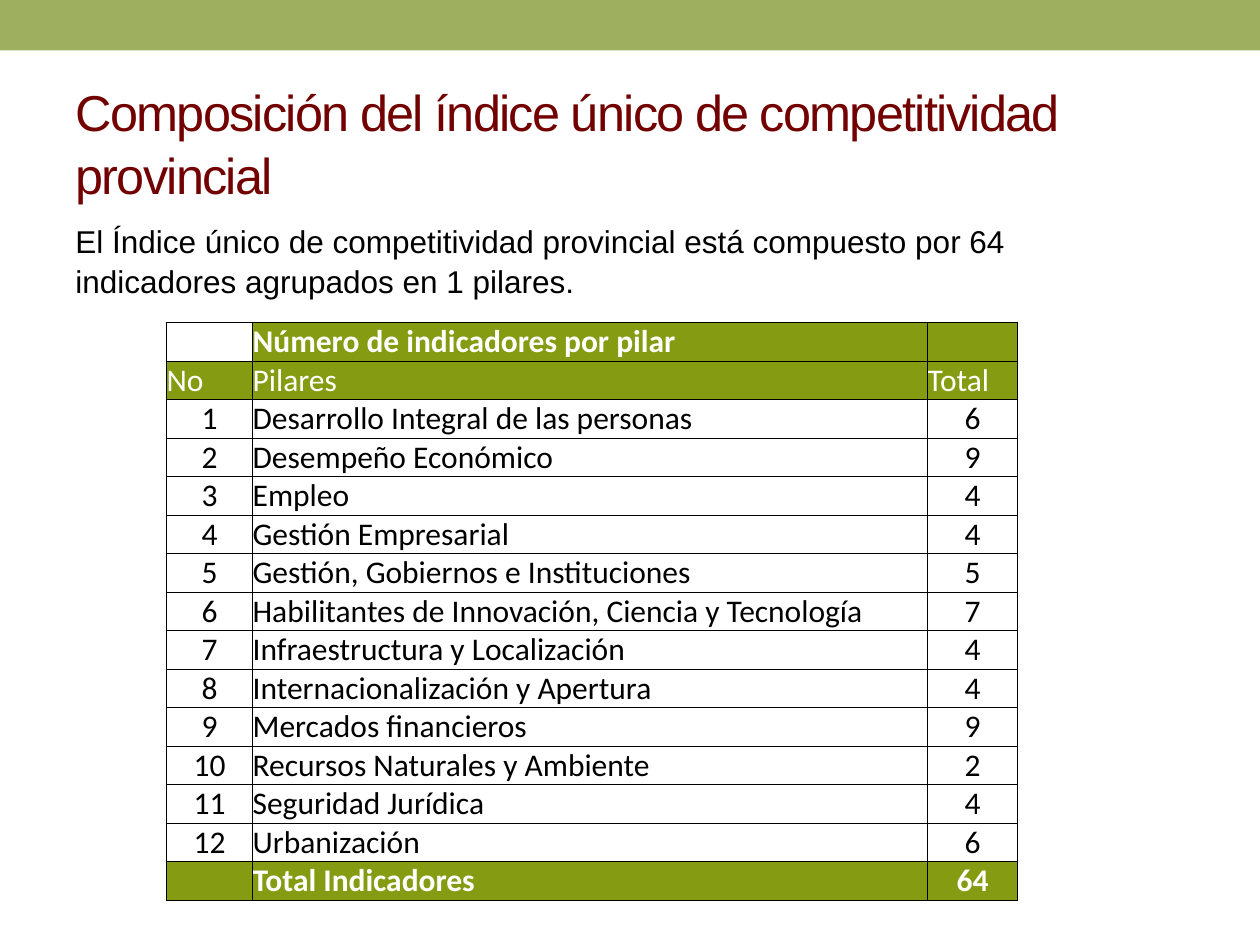
"""Build the slide on the composition of the provincial competitiveness index."""
import pptx
import pptx.dml.color
import pptx.enum.shapes
import pptx.enum.text
import pptx.oxml
import pptx.oxml.ns
import pptx.util

Pt = pptx.util.Pt
RGBColor = pptx.dml.color.RGBColor
BAND_GREEN = RGBColor(0x9E, 0xB0, 0x60)
TABLE_GREEN = RGBColor(0x85, 0x9C, 0x12)
DARK_RED = RGBColor(0x73, 0x00, 0x00)
BLACK = RGBColor(0x00, 0x00, 0x00)
WHITE = RGBColor(0xFF, 0xFF, 0xFF)

PILLARS = [
    ("Desarrollo Integral de las personas", 6),
    ("Desempeño Económico", 9),
    ("Empleo", 4),
    ("Gestión Empresarial", 4),
    ("Gestión, Gobiernos e Instituciones", 5),
    ("Habilitantes de Innovación, Ciencia y Tecnología", 7),
    ("Infraestructura y Localización", 4),
    ("Internacionalización y Apertura", 4),
    ("Mercados financieros", 9),
    ("Recursos Naturales y Ambiente", 2),
    ("Seguridad Jurídica", 4),
    ("Urbanización", 6),
]
COLUMN_WIDTHS = [49.2, 385.7, 51.4]
ROW_HEIGHT = 21.6


def style_paragraph(paragraph, font_name, size, color, bold=False):
    paragraph.font.name = font_name
    paragraph.font.size = Pt(size)
    paragraph.font.color.rgb = color
    paragraph.font.bold = bold


def add_borders(cell):
    properties = cell._tc.get_or_add_tcPr()
    for position, side in enumerate(("lnL", "lnR", "lnT", "lnB")):
        border = pptx.oxml.parse_xml(
            f'<a:{side} {pptx.oxml.ns.nsdecls("a")} w="{Pt(0.5)}">'
            f'<a:solidFill><a:srgbClr val="{BLACK}"/></a:solidFill></a:{side}>'
        )
        properties.insert(position, border)


presentation = pptx.Presentation()
presentation.slide_width = Pt(720)
presentation.slide_height = Pt(540)
slide = presentation.slides.add_slide(presentation.slide_layouts.get_by_name("Title Only"))

band = slide.shapes.add_shape(
    pptx.enum.shapes.MSO_SHAPE.RECTANGLE, Pt(0), Pt(0), Pt(720), Pt(28.8)
)
band.shadow.inherit = False
band.fill.solid()
band.fill.fore_color.rgb = BAND_GREEN
band.line.fill.background()

title = slide.shapes.title
title.left, title.top, title.width, title.height = Pt(36), Pt(41.8), Pt(648), Pt(77.8)
title.text_frame.text = "Composición del índice único de competitividad provincial"
title.text_frame.auto_size = pptx.enum.text.MSO_AUTO_SIZE.NONE
title.text_frame.vertical_anchor = pptx.enum.text.MSO_ANCHOR.MIDDLE
heading = title.text_frame.paragraphs[0]
heading.alignment = pptx.enum.text.PP_ALIGN.LEFT
heading.line_spacing = 1.05
style_paragraph(heading, "Arial", 28.8, DARK_RED)
heading._p.pPr.find(pptx.oxml.ns.qn("a:defRPr")).set("spc", "-100")

pillar_rows = [(str(number), *map(str, pillar)) for number, pillar in enumerate(PILLARS, 1)]
total = sum(count for name, count in PILLARS)
rows = [
    ("", "Número de indicadores por pilar", ""),
    ("No", "Pilares", "Total"),
    *pillar_rows,
    ("", "Total Indicadores", str(total)),
]
last_row = len(rows) - 1
pillar_table = slide.shapes.add_table(
    len(rows), len(COLUMN_WIDTHS), Pt(95.2), Pt(184.5),
    Pt(sum(COLUMN_WIDTHS)), Pt(ROW_HEIGHT * len(rows)),
).table
pillar_table.first_row = False
pillar_table.horz_banding = False
for column, width in zip(pillar_table.columns, COLUMN_WIDTHS):
    column.width = Pt(width)

for row_index, texts in enumerate(rows):
    pillar_table.rows[row_index].height = Pt(ROW_HEIGHT)
    on_green = row_index in (0, 1, last_row)
    for column_index, text in enumerate(texts):
        cell = pillar_table.cell(row_index, column_index)
        cell.margin_left = cell.margin_right = cell.margin_top = cell.margin_bottom = Pt(0)
        cell.vertical_anchor = pptx.enum.text.MSO_ANCHOR.BOTTOM
        if on_green and (row_index, column_index) != (0, 0):
            cell.fill.solid()
            cell.fill.fore_color.rgb = TABLE_GREEN
        else:
            cell.fill.background()
        add_borders(cell)
        cell.text = text
        entry = cell.text_frame.paragraphs[0]
        if row_index > 1 and column_index != 1:
            entry.alignment = pptx.enum.text.PP_ALIGN.CENTER
        style_paragraph(
            entry, "Calibri", 18, WHITE if on_green else BLACK, row_index in (0, last_row)
        )

summary = slide.shapes.add_textbox(Pt(36), Pt(122.4), Pt(631.4), Pt(51.1))
summary.text_frame.word_wrap = True
summary.text_frame.text = (
    "El Índice único de competitividad provincial está compuesto por "
    f"{total} indicadores agrupados en 1 pilares."
)
summary.text_frame.paragraphs[0].line_spacing = 1.05
style_paragraph(summary.text_frame.paragraphs[0], "Arial", 18, BLACK)

presentation.save("out.pptx")
